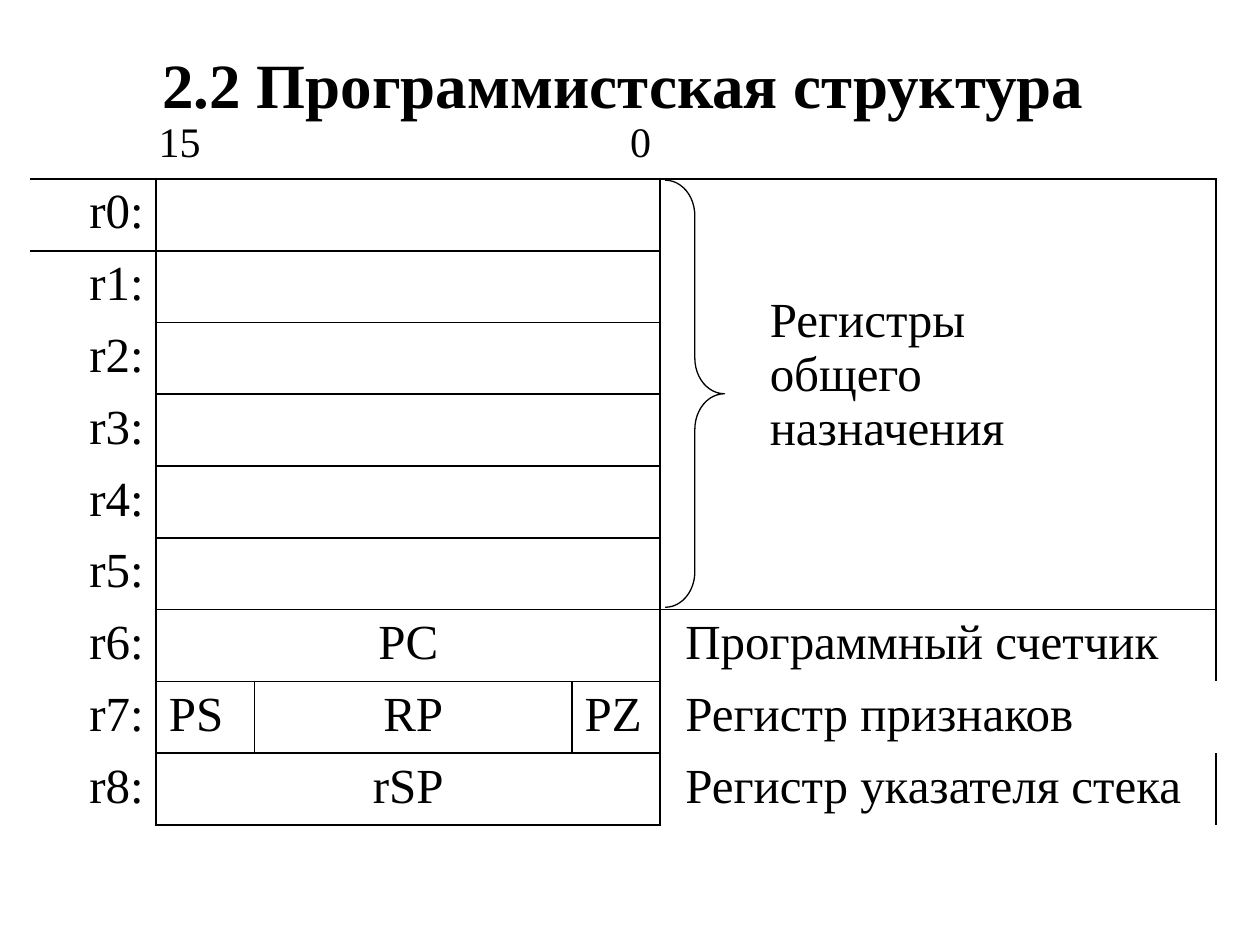
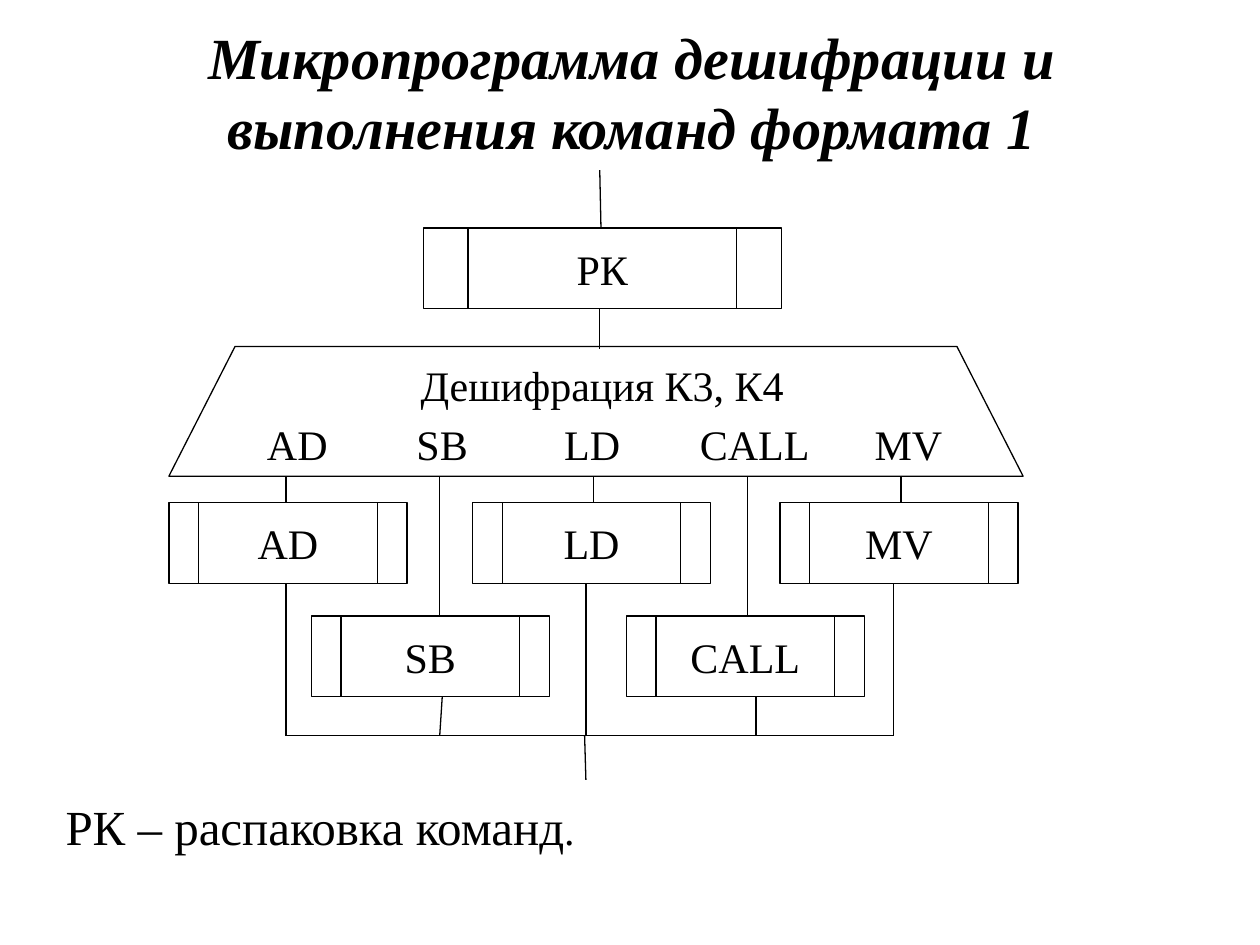
"""Build two slides: the register model and the decoding microprogram."""
from typing import NamedTuple

from lxml import etree
from pptx import Presentation
from pptx.dml.color import RGBColor
from pptx.enum.shapes import MSO_CONNECTOR, MSO_SHAPE
from pptx.enum.text import MSO_ANCHOR, MSO_AUTO_SIZE, PP_ALIGN
from pptx.oxml.ns import qn
from pptx.util import Inches, Pt

FONT = "Times New Roman"
BLACK = RGBColor(0, 0, 0)
WHITE = RGBColor(255, 255, 255)
LEFT, CENTER, RIGHT = PP_ALIGN.LEFT, PP_ALIGN.CENTER, PP_ALIGN.RIGHT
TOP, MIDDLE, BOTTOM = MSO_ANCHOR.TOP, MSO_ANCHOR.MIDDLE, MSO_ANCHOR.BOTTOM
NO_FIT = MSO_AUTO_SIZE.NONE
STRAIGHT = MSO_CONNECTOR.STRAIGHT
PROCESS = MSO_SHAPE.FLOWCHART_PREDEFINED_PROCESS
TRAPEZOID, BRACE = MSO_SHAPE.TRAPEZOID, MSO_SHAPE.RIGHT_BRACE
NO_GRID = "{2D5ABB26-0587-4C30-8999-92F81FD0307C}"
THIN, RULE = Pt(0.75), Pt(1.08)

COLS = (1, 0.78, 2.52, 0.7, 4.41)
HEAD, ROW = 1.1, 0.57
GENERAL = 6
BITS = "15\t0"
GROUP = "Регистры\nобщего\nназначения"
NOTE = ("РК – распаковка команд", ".")


class Box(NamedTuple):
    """A rectangle in inches."""

    x: float
    y: float
    w: float
    h: float


class Special(NamedTuple):
    """A register with a named purpose."""

    fields: tuple[str, ...]
    role: str


class Step(NamedTuple):
    """A subprogram block on the chart."""

    name: str
    box: Box


class Label(NamedTuple):
    """A text centred on a given point."""

    text: str
    mid: float
    top: float
    width: float


class Line(NamedTuple):
    """A straight line in inches."""

    x1: float
    y1: float
    x2: float
    y2: float


SPECIAL = (
    Special(("PC",), "Программный счетчик"),
    Special(("PS", "RP", "PZ"), "Регистр признаков"),
    Special(("rSP",), "Регистр указателя стека"),
)

WIDE, TALL = 1.89, 0.64
UPPER, LOWER = 3.99, 4.89
BASE, BUS = 3.78, 5.84
STEPS = (
    Step("РК", Box(3.36, 1.81, 2.84, TALL)),
    Step("AD", Box(1.34, UPPER, WIDE, TALL)),
    Step("SB", Box(2.47, LOWER, WIDE, TALL)),
    Step("LD", Box(3.75, UPPER, WIDE, TALL)),
    Step("CALL", Box(4.97, LOWER, WIDE, TALL)),
    Step("MV", Box(6.19, UPPER, WIDE, TALL)),
)
LABELS = (
    Label("Дешифрация К3, К4", 4.78, 2.8, 5.26),
    Label("AD", 2.36, 3.27, 1.5),
    Label("SB", 3.51, 3.27, 1.5),
    Label("LD", 4.7, 3.27, 1.5),
    Label("CALL", 5.99, 3.27, 1.68),
    Label("MV", 7.21, 3.27, 1.5),
)
LINES = (
    Line(4.76, 1.35, 4.77, 1.81),
    Line(4.76, 2.45, 4.76, 2.77),
    *(Line(x, BASE, x, UPPER) for x in (2.27, 4.71, 7.15)),
    *(Line(x, BASE, x, LOWER) for x in (3.49, 5.93)),
    *(Line(x, UPPER + TALL, x, BUS) for x in (2.27, 4.65, 7.09)),
    Line(3.51, LOWER + TALL, 3.49, BUS),
    Line(6, LOWER + TALL, 6, BUS),
    Line(2.27, BUS, 7.09, BUS),
    Line(4.64, BUS, 4.65, 6.19),
)


def style(frame, size: float, align=CENTER, bold: bool = False, italic: bool = False) -> None:
    """Format every paragraph of a text frame."""
    for para in frame.paragraphs:
        para.alignment = align
        font = para.font
        font.name, font.size = FONT, Pt(size)
        font.bold, font.italic = bold, italic
        font.color.rgb = BLACK


def place(shape, box: Box) -> None:
    """Move and size a shape."""
    shape.left, shape.top, shape.width, shape.height = map(Inches, box)


def add_title(slide, text: str, box: Box, size: float, italic: bool = False) -> None:
    """Fill the title placeholder."""
    title = slide.shapes.title
    place(title, box)
    frame = title.text_frame
    frame.text = text
    frame.auto_size, frame.word_wrap = NO_FIT, True
    frame.vertical_anchor = MIDDLE
    style(frame, size, bold=True, italic=italic)


def add_shape(slide, kind, box: Box, text: str = ""):
    """Draw an outlined shape with an optional caption."""
    shape = slide.shapes.add_shape(kind, *map(Inches, box))
    shape.shadow.inherit = False
    shape.fill.background()
    shape.line.color.rgb, shape.line.width = BLACK, THIN
    if text:
        shape.text_frame.text = text
        shape.text_frame.vertical_anchor = MIDDLE
        style(shape.text_frame, 24)
    return shape


def add_label(slide, label: Label) -> None:
    """Draw a centred text box."""
    box = Box(label.mid - label.width / 2, label.top, label.width, 0.51)
    frame = slide.shapes.add_textbox(*map(Inches, box)).text_frame
    frame.word_wrap = True
    frame.text = label.text
    style(frame, 24)


def add_line(slide, line: Line) -> None:
    """Draw a thin line without a shadow."""
    link = slide.shapes.add_connector(STRAIGHT, *map(Inches, line))
    link.line.color.rgb, link.line.width = BLACK, THIN
    etree.SubElement(link._element.spPr, qn("a:effectLst"))


def rule(cell, sides: str) -> None:
    """Draw the given sides of a cell and clear its fill."""
    props = cell._tc.get_or_add_tcPr()
    for side in sides:
        edge = etree.SubElement(props, qn(f"a:ln{side}"), w=str(int(RULE)))
        fill = etree.SubElement(edge, qn("a:solidFill"))
        etree.SubElement(fill, qn("a:srgbClr"), val=str(BLACK))
    cell.fill.background()


def write(cell, text: str, align=LEFT, left: float = 0.1, top: float = 0.05, size: float = 28) -> None:
    """Put formatted text in a cell."""
    cell.margin_left, cell.margin_top = Inches(left), Inches(top)
    cell.vertical_anchor = TOP
    cell.text = text
    style(cell.text_frame, size, align)


def add_table(slide) -> None:
    """Draw the register table."""
    count = GENERAL + len(SPECIAL)
    box = Box(0.24, 0.32, sum(COLS), HEAD + ROW * count)
    table = slide.shapes.add_table(count + 1, len(COLS), *map(Inches, box)).table
    table.first_row = table.horz_banding = False
    table._tbl.tblPr.find(qn("a:tableStyleId")).text = NO_GRID
    for col, width in zip(table.columns, COLS):
        col.width = Inches(width)
    for num, row in enumerate(table.rows):
        row.height = Inches(ROW if num else HEAD)
        for col, cell in enumerate(row.cells):
            if num == 0:
                sides = "B"
            else:
                sides = {0: "R", 4: "L"}.get(col, "LRTB") + ("T" if num == 1 and col in (0, 4) else "")
            rule(cell, sides)

    bits = table.cell(0, 0)
    bits.merge(table.cell(0, 4))
    bits.text = BITS
    props = bits.text_frame.paragraphs[0]._p.get_or_add_pPr()
    tabs = etree.SubElement(props, qn("a:tabLst"))
    etree.SubElement(tabs, qn("a:tab"), pos=str(Inches(3.74)), algn="l")
    style(bits.text_frame, 24, LEFT)
    bits.margin_left, bits.margin_bottom = Inches(1.02), Inches(0.1)
    bits.vertical_anchor = BOTTOM

    for num in range(count):
        write(table.cell(num + 1, 0), f"r{num}:", RIGHT)
    for num in range(1, GENERAL + 1):
        table.cell(num, 1).merge(table.cell(num, 3))
    group = table.cell(1, 4)
    group.merge(table.cell(GENERAL, 4))
    write(group, GROUP, left=0.87, top=0.91)

    for num, item in enumerate(SPECIAL, GENERAL + 1):
        if len(item.fields) == 1:
            table.cell(num, 1).merge(table.cell(num, 3))
            write(table.cell(num, 1), item.fields[0], CENTER)
        else:
            for col, text in enumerate(item.fields, 1):
                write(table.cell(num, col), text, CENTER if col == 2 else LEFT)
        write(table.cell(num, 4), item.role, left=0.2)


def add_note(slide) -> None:
    """Fill the body placeholder with the legend."""
    body = slide.placeholders[1]
    place(body, Box(0.04, 6.31, 9.53, 0.71))
    frame = body.text_frame
    frame.auto_size, frame.word_wrap = NO_FIT, True
    frame.vertical_anchor = TOP
    frame.margin_top = Inches(0.1)
    para = frame.paragraphs[0]
    props = para._p.get_or_add_pPr()
    props.set("marL", str(Inches(0.38)))
    props.set("indent", "0")
    etree.SubElement(props, qn("a:buNone"))
    para.line_spacing, para.space_before = 0.8, Pt(0)
    for text in NOTE:
        para.add_run().text = text
    style(frame, 28, LEFT)
    para.runs[-1].font.size = Pt(24)


def new_slide(deck, layout: int):
    """Add a slide on a white ground."""
    slide = deck.slides.add_slide(deck.slide_layouts[layout])
    slide.background.fill.solid()
    slide.background.fill.fore_color.rgb = WHITE
    return slide


def draw_model(deck) -> None:
    """Build the register slide."""
    slide = new_slide(deck, 5)
    add_table(slide)
    add_title(slide, "2.2 Программистская структура", Box(0.34, 0.37, 9.21, 0.58), 36)
    brace = add_shape(slide, BRACE, Box(5.28, 1.43, 0.47, 3.39))
    brace.adjustments[0] = 0.6


def draw_chart(deck) -> None:
    """Build the decoding slide."""
    slide = new_slide(deck, 1)
    text = "Микропрограмма дешифрации и выполнения команд формата 1"
    add_title(slide, text, Box(0.27, 0.09, 9.49, 1.26), 33.3, italic=True)
    decoder = add_shape(slide, TRAPEZOID, Box(1.34, 2.75, 6.78, 1.03))
    decoder.adjustments[0] = 0.51
    for label in LABELS:
        add_label(slide, label)
    for step in STEPS:
        add_shape(slide, PROCESS, step.box, step.name)
    for line in LINES:
        add_line(slide, line)
    add_note(slide)


def main() -> None:
    """Build and save the deck."""
    deck = Presentation()
    deck.slide_width, deck.slide_height = Inches(10), Inches(7.5)
    draw_model(deck)
    draw_chart(deck)
    deck.save("out.pptx")


if __name__ == "__main__":
    main()
